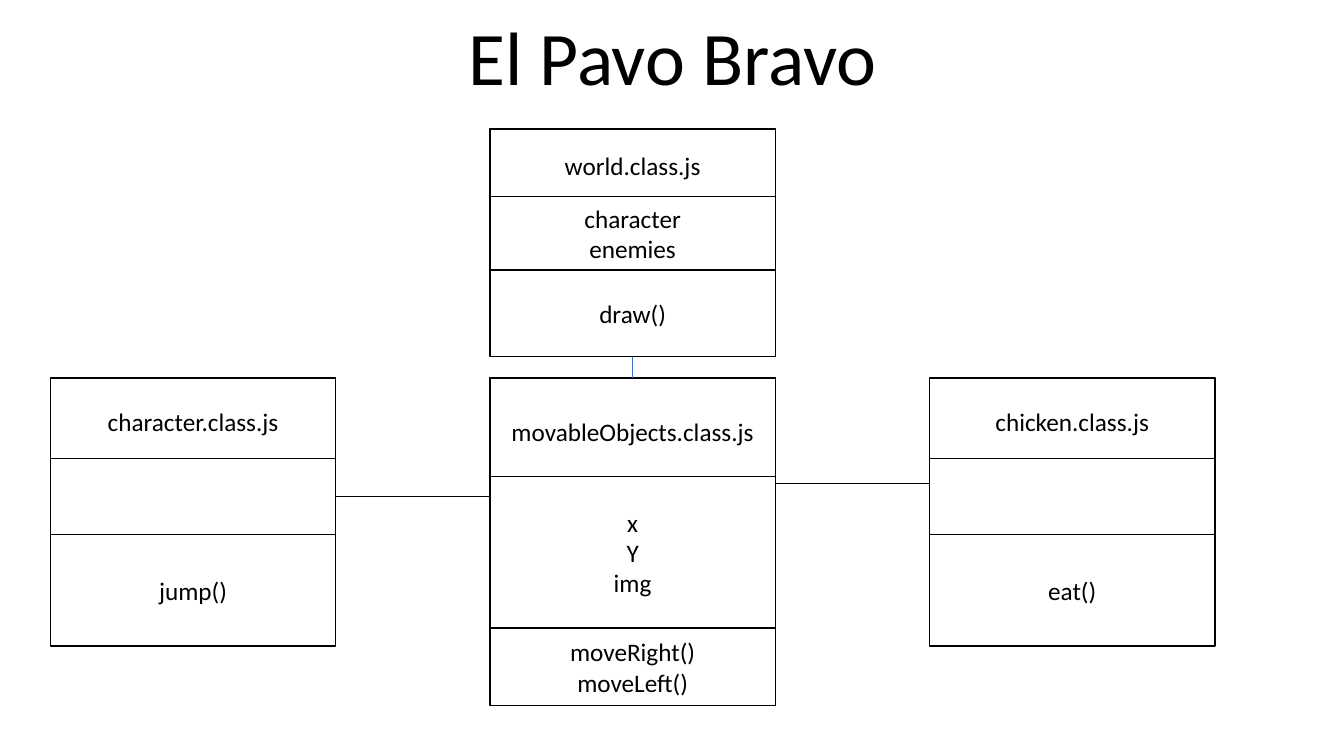
from lxml import etree
from pptx import Presentation
from pptx.dml.color import RGBColor
from pptx.enum.shapes import MSO_CONNECTOR, MSO_SHAPE
from pptx.enum.text import MSO_ANCHOR, PP_ALIGN
from pptx.oxml.ns import qn
from pptx.util import Inches, Pt

BOX_WIDTH = 2.83
LEFT, MIDDLE, RIGHT = 0.5, 4.86, 9.22
LOWER_ROW = 3.75


def color(value):
    return RGBColor.from_string(value)


class Diagram:
    font = "Calibri"
    ink = "000000"
    paper = "FFFFFF"
    accent = "4472C4"

    def __init__(self, slide):
        self.slide = slide

    def set_text(self, frame, lines, size, anchor):
        frame.word_wrap = True
        frame.vertical_anchor = anchor
        for index, line in enumerate(lines):
            paragraph = frame.add_paragraph() if index else frame.paragraphs[0]
            paragraph.alignment = PP_ALIGN.CENTER
            run = paragraph.add_run()
            run.text = line
            run.font.name = self.font
            run.font.size = Pt(size)
            run.font.color.rgb = color(self.ink)

    def title(self, text, left, top, width, height):
        title = self.slide.shapes.title
        title.left, title.top = Inches(left), Inches(top)
        title.width, title.height = Inches(width), Inches(height)
        self.set_text(title.text_frame, [text], 54, MSO_ANCHOR.BOTTOM)
        title.text_frame.paragraphs[0].line_spacing = 0.9

    def box(self, group, left, top, height, lines, text_offset=0):
        box = group.shapes.add_shape(
            MSO_SHAPE.RECTANGLE, Inches(left), Inches(top), Inches(BOX_WIDTH), Inches(height))
        box.shadow.inherit = False
        box.fill.solid()
        box.fill.fore_color.rgb = color(self.paper)
        box.line.color.rgb = color(self.ink)
        box.line.width = Pt(1)
        box.text_frame.margin_top = Inches(text_offset + 0.05)
        self.set_text(box.text_frame, lines, 18, MSO_ANCHOR.MIDDLE)

    def class_box(self, left, top, height, name, name_height,
                  fields, fields_top, fields_height, methods):
        group = self.slide.shapes.add_group_shape()
        methods_offset = fields_top + fields_height - top
        self.box(group, left, top, height, methods, methods_offset)
        self.box(group, left, top, name_height, [name])
        self.box(group, left, fields_top, fields_height, fields)

    def link(self, start, end, line_color):
        link = self.slide.shapes.add_connector(
            MSO_CONNECTOR.STRAIGHT, *(Inches(value) for value in start + end))
        link.line.color.rgb = color(line_color)
        link.line.width = Pt(0.5)
        etree.SubElement(link._element.spPr, qn("a:effectLst"))


presentation = Presentation()
presentation.slide_width = Inches(13.33)
presentation.slide_height = Inches(7.5)
diagram = Diagram(presentation.slides.add_slide(presentation.slide_layouts[5]))

diagram.title("El Pavo Bravo", 1.67, 0.24, 10, 0.82)
diagram.class_box(MIDDLE, 1.28, 2.26, "world.class.js", 0.73,
                  ["character", "enemies"], 1.95, 0.73, ["draw()"])
diagram.class_box(MIDDLE, LOWER_ROW, 3.25, "movableObjects.class.js", 1.06,
                  ["x", "Y", "img"], 4.73, 1.5, ["moveRight()", "moveLeft()"])
for left, name, method in ((RIGHT, "chicken.class.js", "eat()"),
                           (LEFT, "character.class.js", "jump()")):
    diagram.class_box(left, LOWER_ROW, 2.66, name, 0.86, [], 4.55, 0.75, [method])

center = MIDDLE + BOX_WIDTH / 2
diagram.link((center, 3.54), (center, LOWER_ROW), diagram.accent)
for box_left, neighbour, y in ((MIDDLE, LEFT, 4.92), (RIGHT, MIDDLE, 4.8)):
    diagram.link((box_left, y), (neighbour + BOX_WIDTH, y), diagram.ink)

presentation.save("out.pptx")
